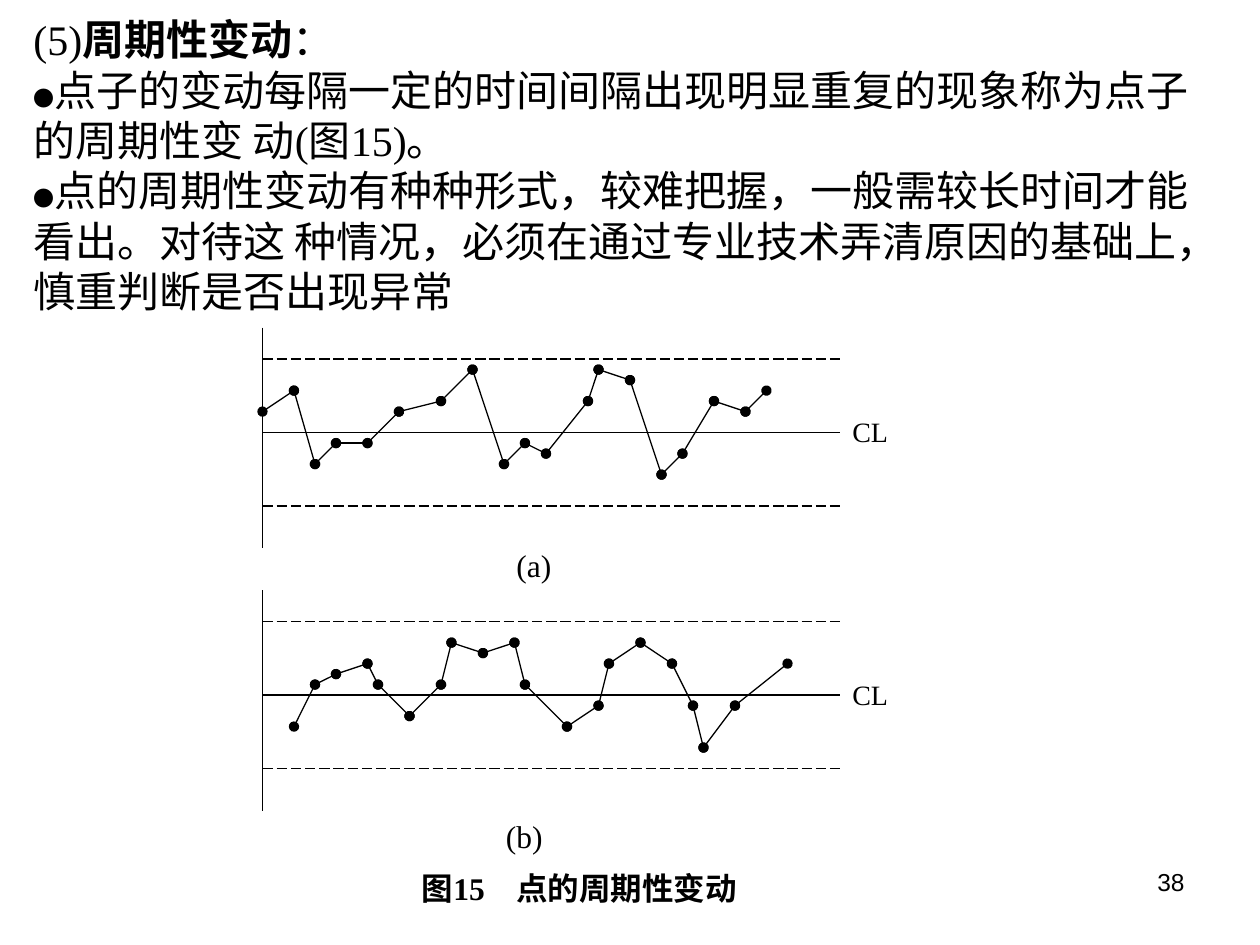
from dataclasses import dataclass
from itertools import pairwise

from lxml.etree import SubElement
from pptx import Presentation
from pptx.dml.color import RGBColor
from pptx.enum.dml import MSO_LINE_DASH_STYLE as Dash
from pptx.enum.shapes import MSO_CONNECTOR as Connector
from pptx.enum.text import MSO_ANCHOR as Anchor, PP_ALIGN as Align
from pptx.oxml.ns import qn
from pptx.util import Emu, Pt


@dataclass(frozen=True)
class Theme:
    ink: RGBColor = RGBColor(0, 0, 0)
    serif: str = "Times New Roman"
    sans: str = "Arial"
    body: int = 24
    bullet: int = 12
    caption: int = 18
    label: int = 16
    number: int = 14
    line: float = 0.75


THEME = Theme()
PX = 7620  # 120 px to the inch
STEP = 10  # px per grid step in the control charts

# Content: each line of the explanation is a list of (text, size, bold)
EXPLANATION = [
    [("(5)", THEME.body, False), ("周期性变动", THEME.body, True),
     ("：", THEME.body, False)],
    [("●", THEME.bullet, False),
     ("点子的变动每隔一定的时间间隔出现明显重复的现象称为点子的周期性变 动(图15)。",
      THEME.body, False)],
    [("●", THEME.bullet, False),
     ("点的周期性变动有种种形式，较难把握，一般需较长时间才能看出。对待这 种情况，"
      "必须在通过专业技术弄清原因的基础上，慎重判断是否出现异常", THEME.body, False)],
]
FIGURE_TITLE = "图15\t点的周期性变动"
PAGE_NUMBER = "38"

# Points are (steps right of the axis, steps above the centre line)
CHARTS = [
    {"name": "(a)", "centre": 412, "name_at": (480, 514),
     "points": [(0, 2), (3, 4), (5, -3), (7, -1), (10, -1), (13, 2), (17, 3),
                (20, 6), (23, -3), (25, -1), (27, -2), (31, 3), (32, 6),
                (35, 5), (38, -4), (40, -2), (43, 3), (46, 2), (48, 4)]},
    {"name": "(b)", "centre": 662, "name_at": (470, 772),
     "points": [(3, -3), (5, 1), (7, 2), (10, 3), (11, 1), (14, -2), (17, 1),
                (18, 5), (21, 4), (24, 5), (25, 1), (29, -3), (32, -1),
                (33, 3), (36, 5), (39, 3), (41, -1), (42, -5), (45, -1),
                (50, 3)]},
]
AXIS_X, WIDTH_STEPS = 250, 55
AXIS_TOP, AXIS_BOTTOM, LIMIT = 10, -11, 7


def px(*lengths):
    return [Emu(length * PX) for length in lengths]


def style(font, size, bold=False, face=THEME.serif):
    font.name, font.size, font.bold = face, Pt(size), bold
    font.color.rgb = THEME.ink


def add_text(slide, box, text, size, bold=False, face=THEME.serif,
             align=Align.LEFT, tab=None):
    frame = slide.shapes.add_textbox(*px(*box)).text_frame
    frame.word_wrap = True
    paragraph = frame.paragraphs[0]
    paragraph.add_run().text = text
    paragraph.alignment = align
    if tab:
        stops = SubElement(paragraph._p.get_or_add_pPr(), qn("a:tabLst"))
        SubElement(stops, qn("a:tab"), pos=str(tab * PX), algn="l")
    style(paragraph.font, size, bold, face)


def add_explanation(slide, box):
    frame = slide.shapes.add_textbox(*px(*box)).text_frame
    frame.word_wrap = True
    frame.vertical_anchor = Anchor.MIDDLE
    paragraph = frame.paragraphs[0]
    for index, line in enumerate(EXPLANATION):
        if index:
            paragraph.add_line_break()
        for text, size, bold in line:
            run = paragraph.add_run()
            run.text = text
            style(run.font, size, bold)


def add_line(slide, start, end, dash=None, dots=False):
    line = slide.shapes.add_connector(Connector.STRAIGHT, *px(*start, *end))
    line.line.color.rgb = THEME.ink
    line.line.width = Pt(THEME.line)
    if dash:
        line.line.dash_style = dash
    if dots:
        for tag in ("a:headEnd", "a:tailEnd"):
            SubElement(line.line._get_or_add_ln(), qn(tag), type="oval")
    SubElement(line._element.spPr, qn("a:effectLst"))


def add_control_chart(slide, chart):
    def place(point):
        return AXIS_X + point[0] * STEP, chart["centre"] - point[1] * STEP

    # Axis, centre line and control limits
    add_line(slide, place((0, AXIS_TOP)), place((0, AXIS_BOTTOM)))
    for level, dash in ((0, None), (LIMIT, Dash.LONG_DASH),
                        (-LIMIT, Dash.LONG_DASH)):
        add_line(slide, place((0, level)), place((WIDTH_STEPS, level)), dash)
    label_x, label_y = place((WIDTH_STEPS, 0))
    add_text(slide, (label_x, label_y - 23, 80, 44), "CL", THEME.label)

    # Measured points
    for start, end in pairwise(chart["points"]):
        add_line(slide, place(start), place(end), dots=True)
    add_text(slide, (*chart["name_at"], 80, 48), chart["name"], THEME.caption)


def main():
    deck = Presentation()
    deck.slide_width, deck.slide_height = px(1200, 900)
    slide = deck.slides.add_slide(deck.slide_layouts[6])

    add_text(slide, (860, 820, 280, 62), PAGE_NUMBER, THEME.number,
             face=THEME.sans, align=Align.RIGHT)
    add_explanation(slide, (20, 42, 1150, 230))
    for chart in CHARTS:
        add_control_chart(slide, chart)
    add_text(slide, (390, 822, 350, 48), FIGURE_TITLE, THEME.caption,
             bold=True, tab=90)

    deck.save("out.pptx")


if __name__ == "__main__":
    main()
